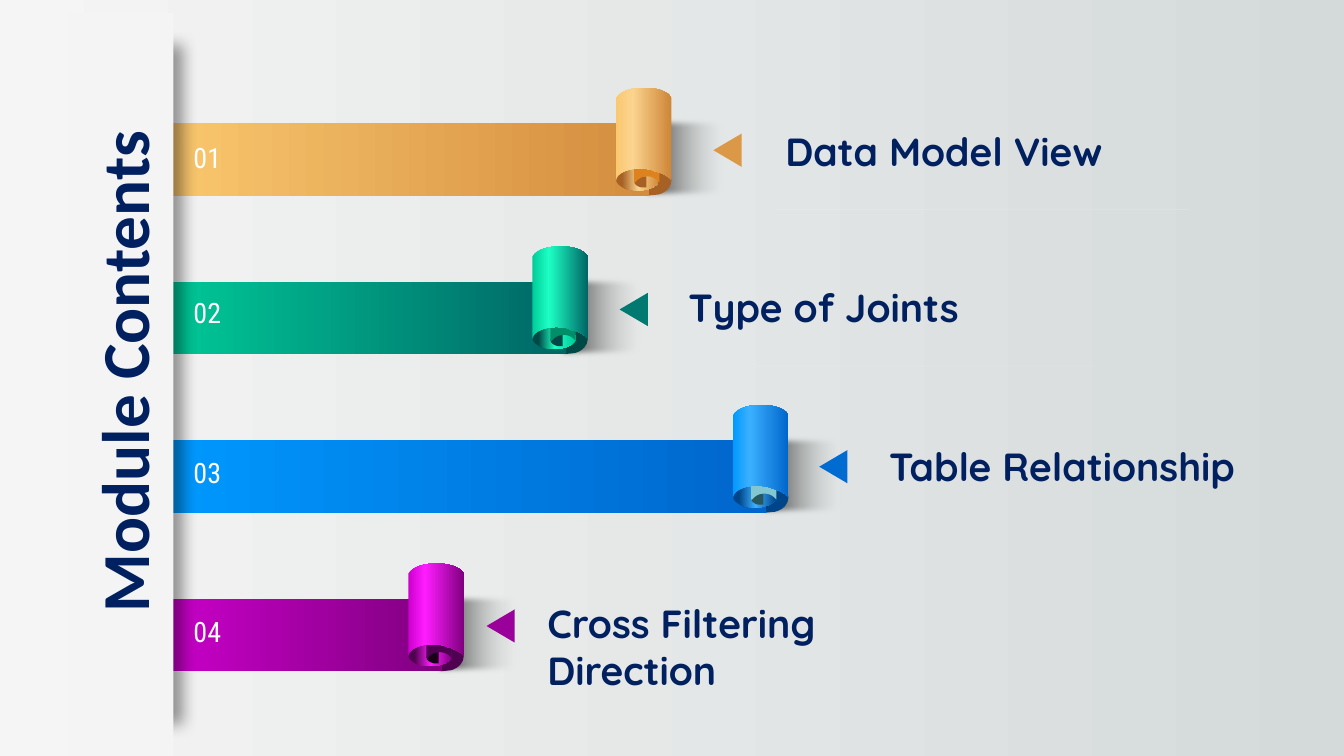
from lxml.etree import SubElement
from pptx import Presentation
from pptx.dml.color import RGBColor
from pptx.enum.shapes import MSO_CONNECTOR, MSO_SHAPE
from pptx.enum.text import MSO_ANCHOR, MSO_AUTO_SIZE, PP_ALIGN
from pptx.oxml.ns import qn
from pptx.util import Inches, Pt

COLORS = {
    "page_left": "F5F5F5", "page_right": "D4DADA", "panel": "F4F4F4",
    "navy": "002060", "white": "FFFFFF", "rule": "F2F2F2",
    "black": "000000", "fade": "E9EBEA",
}
BANNERS = [
    {"number": "01", "label": "Data Model View", "x": 6.11, "number_y": 1.34,
     "arrow": (7.05, 1.35), "text": (7.69, 1.21, 3.52), "rule_y": 2.08,
     "light": "FAC86F", "glow": "FBD48F", "dark": "CE8537", "bar_end": "D48D3E",
     "lip": "A76124", "rim": "CE8537", "eye": "A76124", "inner": "DD821D", "tip": "DB9948"},
    {"number": "02", "label": "Type of Joints", "x": 5.28, "number_y": 2.88,
     "arrow": (6.12, 2.93), "text": (6.73, 2.76, 6.26), "rule_y": 3.63,
     "light": "00CC99", "glow": "1DFFC4", "dark": "006666", "bar_end": "006666",
     "lip": "004846", "rim": "00CC99", "eye": "004846", "inner": "008E69", "tip": "007A70"},
    {"number": "03", "label": "Table Relationship", "x": 7.27, "number_y": 4.47,
     "arrow": (8.1, 4.49), "text": (8.72, 4.34, 4.28), "rule_y": None,
     "light": "0099FF", "glow": "3BB0FF", "dark": "0066CC", "bar_end": "0066CC",
     "lip": "00458A", "rim": "00458A", "eye": "28585E", "inner": "81C6D1", "tip": "006CD2"},
    {"number": "04", "label": "Cross Filtering Direction", "x": 4.05, "number_y": 6.05,
     "arrow": (4.8, 6.07), "text": (5.33, 5.9, 4.59), "rule_y": None,
     "light": "CC00CC", "glow": "FF1DFF", "dark": "800080", "bar_end": "800080",
     "lip": "500050", "rim": "800080", "eye": "1A001A", "inner": "500050", "tip": "9A009A"},
]
BAR_LEFT, BAR_TOP, LAST_BAR_TOP = 1.51, 1.22, 5.94
BAR_STEP = (LAST_BAR_TOP - BAR_TOP) / (len(BANNERS) - 1)

LIP = [(.55, .57), (.55, .63, .50, .69, .42, .71), (.32, .72), (.32, .41),
       (.42, .42), (.50, .45, .55, .50, .55, .57)]
EYE = [(.18, .58), (.18, .61, .21, .63, .25, .64), (.30, .64), (.30, .53),
       (.25, .53), (.21, .54, .18, .56, .18, .58)]
INNER = [(.18, .16), (.22, .09, .39, .09, .43, .16), (.43, .59),
         (.40, .55, .36, .53, .31, .53), (.26, .53, .22, .55, .19, .59), (.18, .59)]
ROLL = [(.28, -.35), (.39, -.35, .51, -.32, .55, -.25), (.55, .56),
        (.52, .53, .48, .51, .43, .49), (.39, .48), (.34, .46),
        (.31, .46, .28, .45, .24, .45), (.13, .45, .03, .49, .01, .54),
        (0, .57), (0, -.25), (.05, -.32, .16, -.35, .28, -.35)]


def rgb(color):
    return RGBColor.from_string(color)


def paint(sp, fill):
    sp.shadow.inherit = False
    sp.line.fill.background()
    if isinstance(fill, str):
        sp.fill.solid()
        sp.fill.fore_color.rgb = rgb(fill)
        return
    sp.fill.gradient()
    sp.fill.gradient_angle = 0
    stops = sp._element.spPr.find(qn("a:gradFill")).find(qn("a:gsLst"))
    for stop in list(stops):
        stops.remove(stop)
    for pos, color, alpha in fill:
        gs = SubElement(stops, qn("a:gs"), pos=str(pos * 1000))
        clr = SubElement(gs, qn("a:srgbClr"), val=color)
        if alpha < 100:
            SubElement(clr, qn("a:alpha"), val=str(alpha * 1000))


def gradient(*stops):
    return [(pos, color, 100) for pos, color in stops]


def add_preset(s, kind, x, y, w, h, fill):
    sp = s.shapes.add_shape(kind, Inches(x), Inches(y), Inches(w), Inches(h))
    paint(sp, fill)
    return sp


def add_effect(sp, name, **attributes):
    effects = sp._element.spPr.find(qn("a:effectLst"))
    return SubElement(effects, qn(name), **attributes)


def add_outline(s, outline, x, y, fill):
    corners = [(Inches(x + part[-2]), Inches(y + part[-1])) for part in outline]
    left, top = (min(values) for values in zip(*corners))
    builder = s.shapes.build_freeform(*corners[0])
    builder.add_line_segments(corners[1:], close=True)
    sp = builder.convert_to_shape()
    segments = list(sp._element.spPr.find(".//" + qn("a:path")))
    for segment, part in zip(segments, outline):
        if len(part) == 6:
            segment.tag = qn("a:cubicBezTo")
            segment.remove(segment[0])
            for dx, dy in zip(part[::2], part[1::2]):
                SubElement(segment, qn("a:pt"), x=str(Inches(x + dx) - left),
                           y=str(Inches(y + dy) - top))
    paint(sp, fill)


def write(sp, text, size, font, color, bold=False):
    tf = sp.text_frame
    tf.word_wrap = True
    tf.auto_size = MSO_AUTO_SIZE.SHAPE_TO_FIT_TEXT
    p = tf.paragraphs[0]
    r = p.add_run()
    r.text = text
    r.font.size, r.font.name, r.font.bold = Pt(size), font, bold
    r.font.color.rgb = rgb(color)
    return p


def add_text(s, x, y, w, h, *style, **options):
    sp = s.shapes.add_textbox(Inches(x), Inches(y), Inches(w), Inches(h))
    write(sp, *style, **options)


def add_rule(s, x, y):
    line = s.shapes.add_connector(MSO_CONNECTOR.STRAIGHT, Inches(x), Inches(y),
                                  Inches(x + 4.11), Inches(y))
    line.line.width = Pt(0.5)
    line.line.color.rgb = rgb(COLORS["rule"])
    clr = line._element.spPr.find(".//" + qn("a:srgbClr"))
    SubElement(clr, qn("a:alpha"), val="30000")
    SubElement(line._element.spPr, qn("a:effectLst"))


def add_scroll(s, b, y):
    x = b["x"]
    group = s.shapes.add_group_shape()
    shade = add_preset(group, MSO_SHAPE.RECTANGLE, x + .21, y - .08, .93, .86,
                       [(0, COLORS["black"], 100), (100, COLORS["fade"], 0)])
    add_effect(shade, "a:softEdge", rad="63500")
    add_outline(group, LIP, x, y, b["lip"])
    add_preset(group, MSO_SHAPE.RECTANGLE, BAR_LEFT, y, x + .33 - BAR_LEFT, .72,
               gradient((0, b["light"]), (100, b["bar_end"])))
    add_preset(group, MSO_SHAPE.OVAL, x, y + .45, .43, .22,
               gradient((14, b["lip"]), (52, b["glow"]), (100, b["rim"])))
    add_outline(group, EYE, x, y, b["eye"])
    add_outline(group, INNER, x, y, b["inner"])
    add_outline(group, ROLL, x, y,
                gradient((0, b["light"]), (30, b["glow"]), (100, b["dark"])))


def add_panel(s):
    edge = add_preset(s, MSO_SHAPE.RECTANGLE, 1.16, .45, .55, 6.72, COLORS["panel"])
    shadow = add_effect(edge, "a:outerShdw", blurRad=str(Pt(11)), dist=str(Pt(7)),
                        dir="0", algn="l", rotWithShape="0")
    clr = SubElement(shadow, qn("a:srgbClr"), val=COLORS["black"])
    SubElement(clr, qn("a:alpha"), val="40000")
    add_preset(s, MSO_SHAPE.RECTANGLE, .68, .13, 1.04, 7.37, COLORS["panel"])


def add_label(s, b):
    add_text(s, 1.82, b["number_y"], .55, .44, b["number"], 20, "Roboto Condensed",
             COLORS["white"])
    tip = add_preset(s, MSO_SHAPE.ISOSCELES_TRIANGLE, *b["arrow"], .33, .28, b["tip"])
    tip.rotation = 270
    x, y, w = b["text"]
    group = s.shapes.add_group_shape()
    add_text(group, x, y, w, .57, b["label"], 28, "Quicksand", COLORS["navy"], bold=True)
    if b["rule_y"]:
        add_rule(group, x, b["rule_y"])


def set_title(s, text):
    title = s.shapes.title
    title.left, title.top = Inches(-2.46), Inches(3.23)
    title.width, title.height = Inches(7.37), Inches(.91)
    title.rotation = 270
    p = write(title, text, 48, "Calibri", COLORS["navy"], bold=True)
    p.alignment, p.line_spacing = PP_ALIGN.CENTER, 1.0
    title.text_frame.vertical_anchor = MSO_ANCHOR.TOP
    title._element.getparent().append(title._element)


def set_background(s):
    fill = s.background.fill
    fill.gradient()
    fill.gradient_angle = 0
    for stop, name in zip(fill.gradient_stops, ("page_left", "page_right")):
        stop.color.rgb = rgb(COLORS[name])


def main():
    prs = Presentation()
    prs.slide_width, prs.slide_height = Inches(13.33), Inches(7.5)
    s = prs.slides.add_slide(prs.slide_layouts[5])
    set_background(s)
    for i, banner in enumerate(BANNERS):
        add_scroll(s, banner, BAR_TOP + i * BAR_STEP)
    add_panel(s)
    for banner in BANNERS:
        add_label(s, banner)
    set_title(s, "Module Contents")
    prs.save("out.pptx")


if __name__ == "__main__":
    main()
